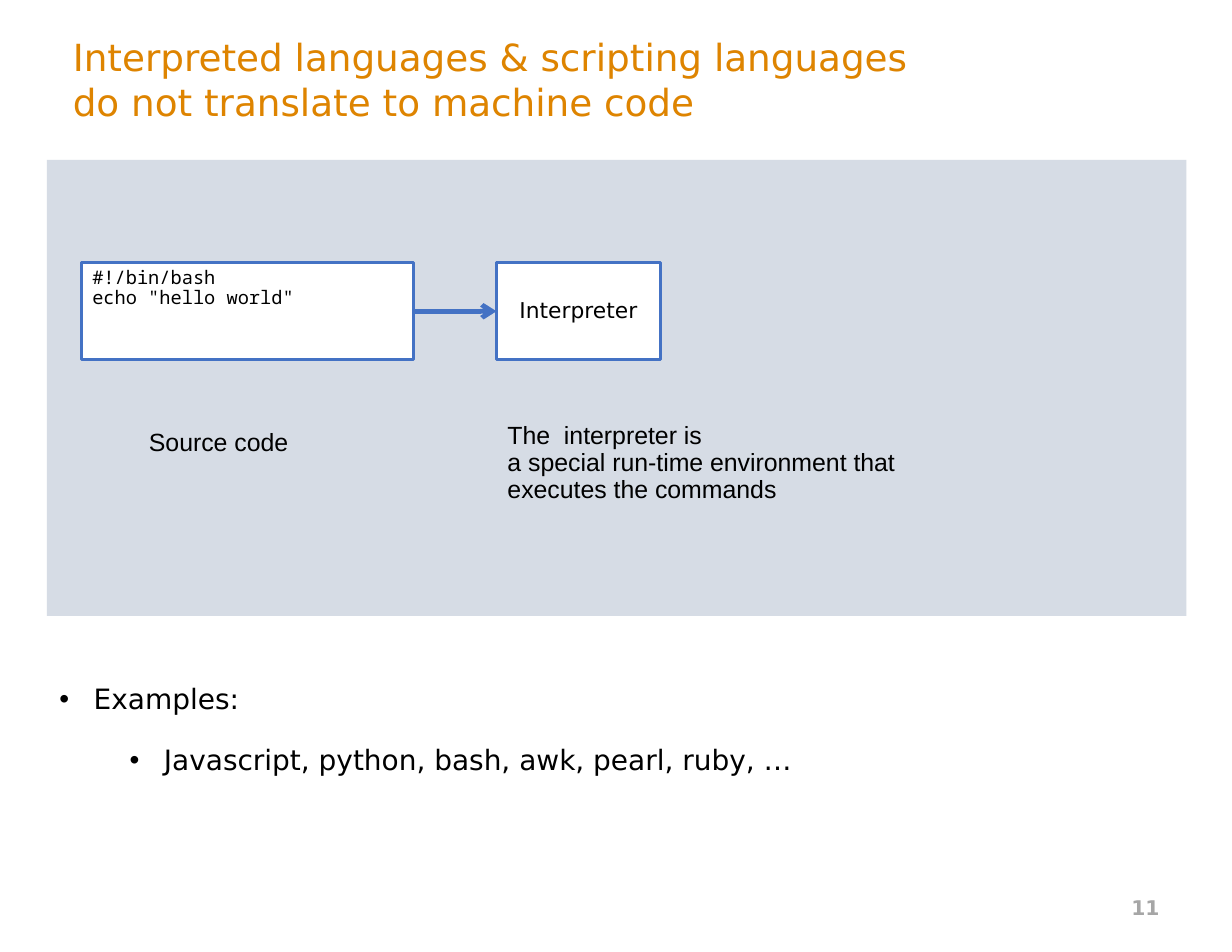
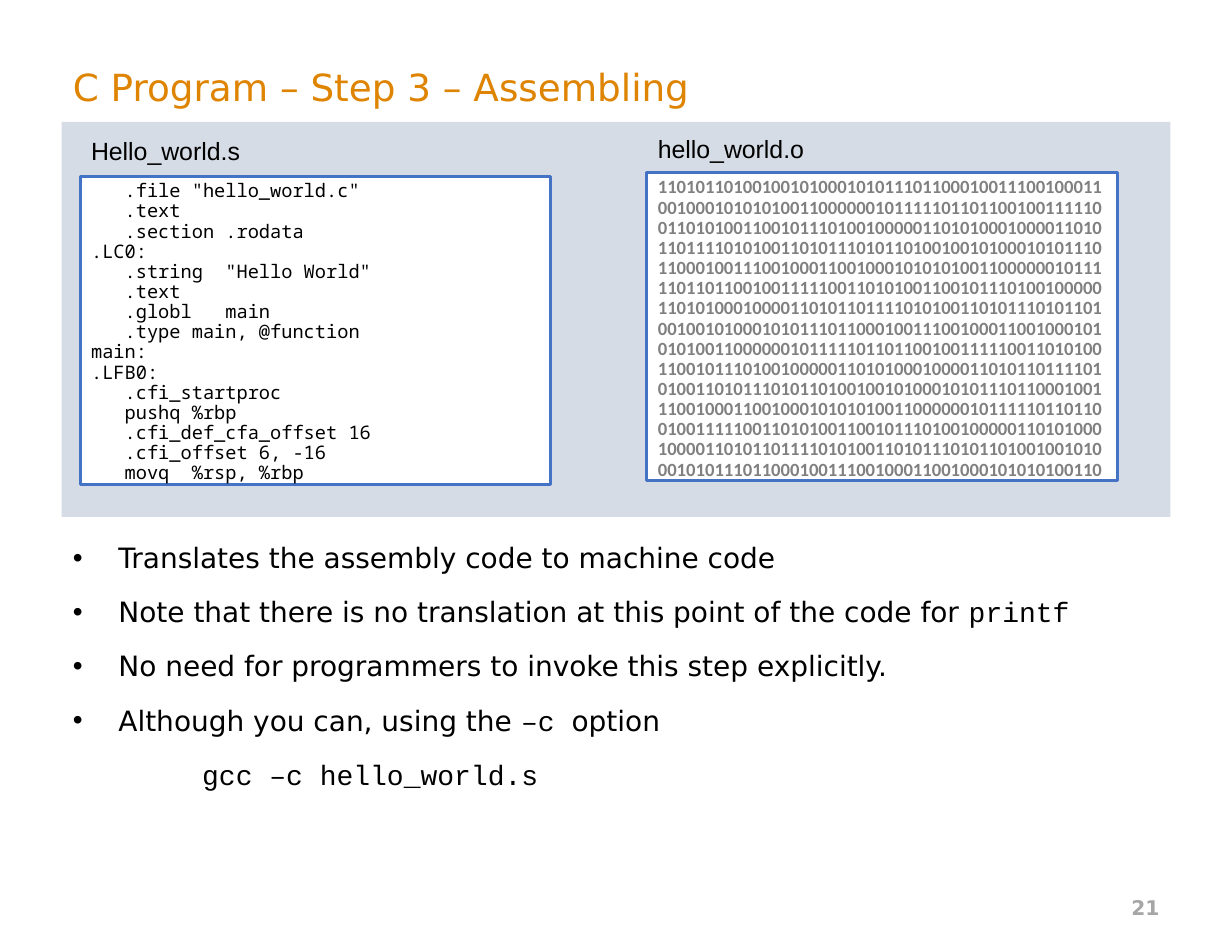
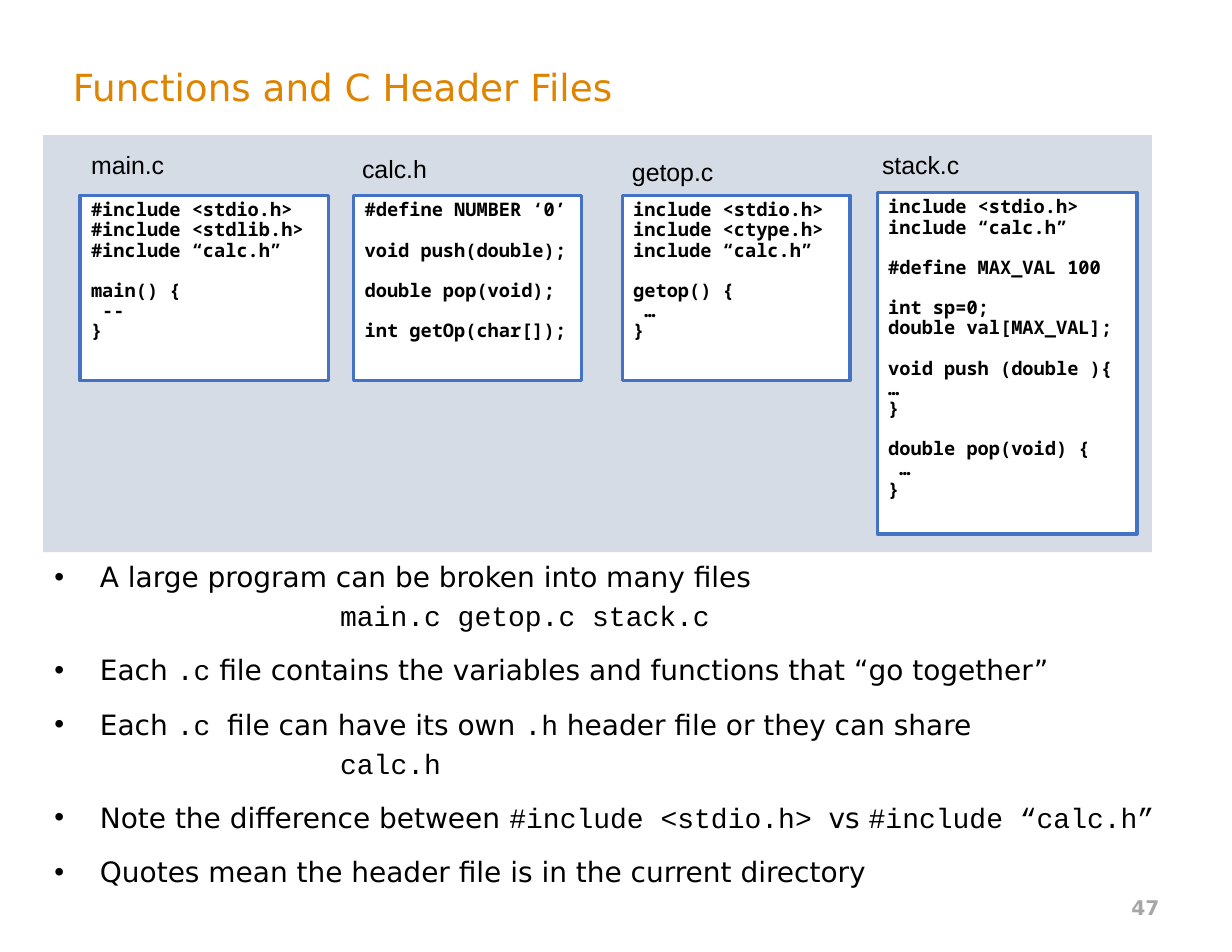
from lxml import etree
from pptx import Presentation
from pptx.dml.color import RGBColor
from pptx.enum.shapes import MSO_CONNECTOR, MSO_SHAPE
from pptx.enum.text import MSO_ANCHOR, MSO_AUTO_SIZE, PP_ALIGN
from pptx.oxml.ns import qn
from pptx.util import Inches, Pt

RECT = MSO_SHAPE.RECTANGLE
LINE = MSO_CONNECTOR.STRAIGHT
TOP, MID = MSO_ANCHOR.TOP, MSO_ANCHOR.MIDDLE
LEFT, CENTER, RIGHT = PP_ALIGN.LEFT, PP_ALIGN.CENTER, PP_ALIGN.RIGHT
FIXED, GROW = MSO_AUTO_SIZE.NONE, MSO_AUTO_SIZE.SHAPE_TO_FIT_TEXT
SANS, MONO, TYPED = "DejaVu Sans", "Noto Sans Mono", "Courier New"
INK = {"title": "DE8400", "text": "000000", "page": "A6A6A6", "bits": "808080",
       "band": "D6DCE5", "edge": "4472C4", "paper": "FFFFFF"}
INK = {name: RGBColor.from_string(value) for name, value in INK.items()}

deck = Presentation()
deck.slide_width, deck.slide_height = Inches(11), Inches(8.5)
COL, ROW = deck.slide_width / 100, deck.slide_height / 100


def scale(spot):
    return [int(part * unit) for part, unit in zip(spot, (COL, ROW, COL, ROW))]


def write(frame, text, size, face, ink="text", bold=False, align=LEFT, anchor=TOP, space=0.9):
    frame.text = text
    frame.word_wrap = True
    frame.auto_size = FIXED
    frame.vertical_anchor = anchor
    for para in frame.paragraphs:
        para.alignment = align
        para.line_spacing = space
        para._p.get_or_add_endParaRPr().set("sz", str(size * 100))
        for run in para.runs:
            run.font.size = Pt(size)
            run.font.name = face
            run.font.bold = bold
            run.font.color.rgb = INK[ink]


BITS = (
    "11010110100100101000101011101100010011100100011"
    "00100010101010011000000101111101101100100111110"
    "01101010011001011101001000001101010001000011010"
    "1101111010100110101"
)

SHELL = """#!/bin/bash
echo "hello world\""""

ASM = """   .file "hello_world.c"
   .text
   .section .rodata
.LC0:
   .string  "Hello World"
   .text
   .globl   main
   .type main, @function
main:
.LFB0:
   .cfi_startproc
   pushq %rbp
   .cfi_def_cfa_offset 16
   .cfi_offset 6, -16
   movq  %rsp, %rbp"""

MAIN = """#include <stdio.h>
#include <stdlib.h>
#include “calc.h”

main() {
 --
}"""

CALC = """#define NUMBER ‘0’

void push(double);

double pop(void);

int getOp(char[]);"""

GETOP = """include <stdio.h>
include <ctype.h>
include “calc.h”

getop() {
 …
}"""

STACK = """include <stdio.h>
include “calc.h”

#define MAX_VAL 100

int sp=0;
double val[MAX_VAL];

void push (double ){
…
}

double pop(void) {
 …
}"""

code = {"size": 12, "face": MONO}
bold = {**code, "bold": True}
node = {"size": 14, "face": SANS, "align": CENTER, "anchor": MID}
bits = {"size": 12, "face": "Calibri", "ink": "bits", "bold": True}

pages = [
    {
        "page": "11", "top": 3.2, "space": 0.9,
        "title": "Interpreted languages & scripting languages\vdo not translate to machine code",
        "band": (3.8, 16.8, 92.5, 47.9),
        "boxes": [
            ((6.6, 27.6, 27, 10.2), SHELL, code),
            ((40.3, 27.6, 13.3, 10.2), "Interpreter", node),
        ],
        "tags": [
            ((11.2, 44.6, 13.3, 4), "Source code"),
            ((40.3, 43.9, 33.7, 9.8),
             "The  interpreter is\na special run-time environment that\nexecutes the commands"),
        ],
        "body": (3.9, 71.4, 80.9, 10.8),
        "list": [
            (0, 2.8, 2.8, 0, "Examples:"),
            (1, 8.5, 2.8, 19.5, "Javascript, python, bash, awk, pearl, ruby, …"),
        ],
    },
    {
        "page": "21", "top": 4, "space": 1,
        "title": "C Program – Step 3 – Assembling",
        "band": (5, 12.8, 90, 41.5),
        "boxes": [
            ((52.5, 18.1, 38.2, 32.4), (BITS * 5)[:705], bits),
            ((6.5, 18.5, 38.2, 32.4), ASM, code),
        ],
        "tags": [
            ((52.5, 13.8, 13.8, 4), "hello_world.o"),
            ((6.5, 14, 14, 4), "Hello_world.s"),
        ],
        "body": (5, 56.2, 90, 36.5),
        "list": [
            (0, 3.7, 3.7, 0, "Translates the assembly code to machine code"),
            (0, 3.7, 3.7, 13.2,
             "Note that there is no translation at this point of the code for `printf"),
            (0, 3.7, 3.7, 13.2, "No need for programmers to invoke this step explicitly."),
            (0, 3.7, 3.7, 13.2, "Although you can, using the `–c `option"),
            (0, 10.5, 0, 13.2, "`gcc –c hello_world.s"),
        ],
    },
    {
        "page": "47", "top": 4, "space": 1,
        "title": "Functions and C Header Files",
        "band": (3.5, 14.2, 90, 43.8),
        "boxes": [
            ((6.5, 20.5, 20.2, 19.5), MAIN, bold),
            ((28.7, 20.5, 18.5, 19.5), CALC, bold),
            ((50.5, 20.5, 18.5, 19.5), GETOP, bold),
            ((71.2, 20.2, 21.1, 35.9), STACK, bold),
        ],
        "tags": [
            ((6.5, 15.5, 7.8, 4), "main.c"),
            ((28.5, 15.9, 7.2, 4), "calc.h"),
            ((50.4, 16.2, 8.5, 4), "getop.c"),
            ((70.7, 15.5, 8.2, 4), "stack.c"),
        ],
        "body": (3.5, 58.2, 94.1, 37.8),
        "list": [
            (0, 3.7, 3.7, 0, "A large program can be broken into many files"),
            (1, 23.2, 0, 3.6, "`main.c getop.c stack.c"),
            (0, 3.7, 3.7, 13.2,
             "Each `.c` file contains the variables and functions that “go together”"),
            (0, 3.7, 3.7, 13.2,
             "Each `.c `file can have its own `.h` header file or they can share"),
            (1, 23.2, 0, 3.6, "`calc.h"),
            (0, 3.7, 3.7, 13.2,
             "Note the difference between `#include <stdio.h> `vs `#include “calc.h”"),
            (0, 3.7, 3.7, 13.2, "Quotes mean the header file is in the current directory"),
        ],
    },
]

for page in pages:
    slide = deck.slides.add_slide(deck.slide_layouts[1])
    shapes = slide.shapes
    title, body = shapes.title, slide.placeholders[1]

    title.left, title.top, title.width, title.height = scale((5, page["top"], 90, 10.2))
    write(title.text_frame, page["title"], 24, SANS, "title", anchor=MID, space=1)

    band = shapes.add_shape(RECT, *scale(page["band"]))
    band.shadow.inherit = False
    band.fill.solid()
    band.fill.fore_color.rgb = INK["band"]
    band.line.fill.background()
    shapes._spTree.insert(2, band._element)

    for spot, text, style in page["boxes"]:
        box = shapes.add_shape(RECT, *scale(spot))
        box.shadow.inherit = False
        box.fill.solid()
        box.fill.fore_color.rgb = INK["paper"]
        box.line.color.rgb = INK["edge"]
        box.line.width = Pt(2)
        write(box.text_frame, text, **style)

    for spot, text in page["tags"]:
        frame = shapes.add_textbox(*scale(spot)).text_frame
        write(frame, text, 16, "Arial")
        frame.word_wrap = False
        frame.auto_size = GROW

    body.left, body.top, body.width, body.height = scale(page["body"])
    frame = body.text_frame
    frame.text = "\n" * (len(page["list"]) - 1)
    frame.auto_size = FIXED
    for para, (level, left, hang, gap, text) in zip(frame.paragraphs, page["list"]):
        para.level = level
        para.line_spacing = page["space"]
        para.space_before = Pt(gap)
        props = para._p.get_or_add_pPr()
        props.set("marL", str(int(left * COL)))
        props.set("indent", str(int(-hang * COL)))
        if hang:
            etree.SubElement(props, qn("a:buFont")).set("typeface", "Arial")
            etree.SubElement(props, qn("a:buChar")).set("char", "•")
        else:
            etree.SubElement(props, qn("a:buNone"))
        for turn, part in enumerate(text.split("`")):
            if part:
                run = para.add_run()
                run.text = part
                run.font.size = Pt(18)
                run.font.name = TYPED if turn % 2 else SANS
                run.font.color.rgb = INK["text"]

    foot = shapes.add_textbox(*scale((71.6, 92.7, 23.4, 5.3)))
    write(foot.text_frame, page["page"], 13, SANS, "page", True, RIGHT, MID, 1)

first = deck.slides[0].shapes
start, end = scale((33.6, 32.7)), scale((40.3, 32.7))
arrow = first.add_connector(LINE, *start, *end)
arrow.line.color.rgb = INK["edge"]
arrow.line.width = Pt(3)
etree.SubElement(arrow.line._get_or_add_ln(), qn("a:tailEnd")).set("type", "arrow")
etree.SubElement(arrow._element.spPr, qn("a:effectLst"))

deck.save("out.pptx")
